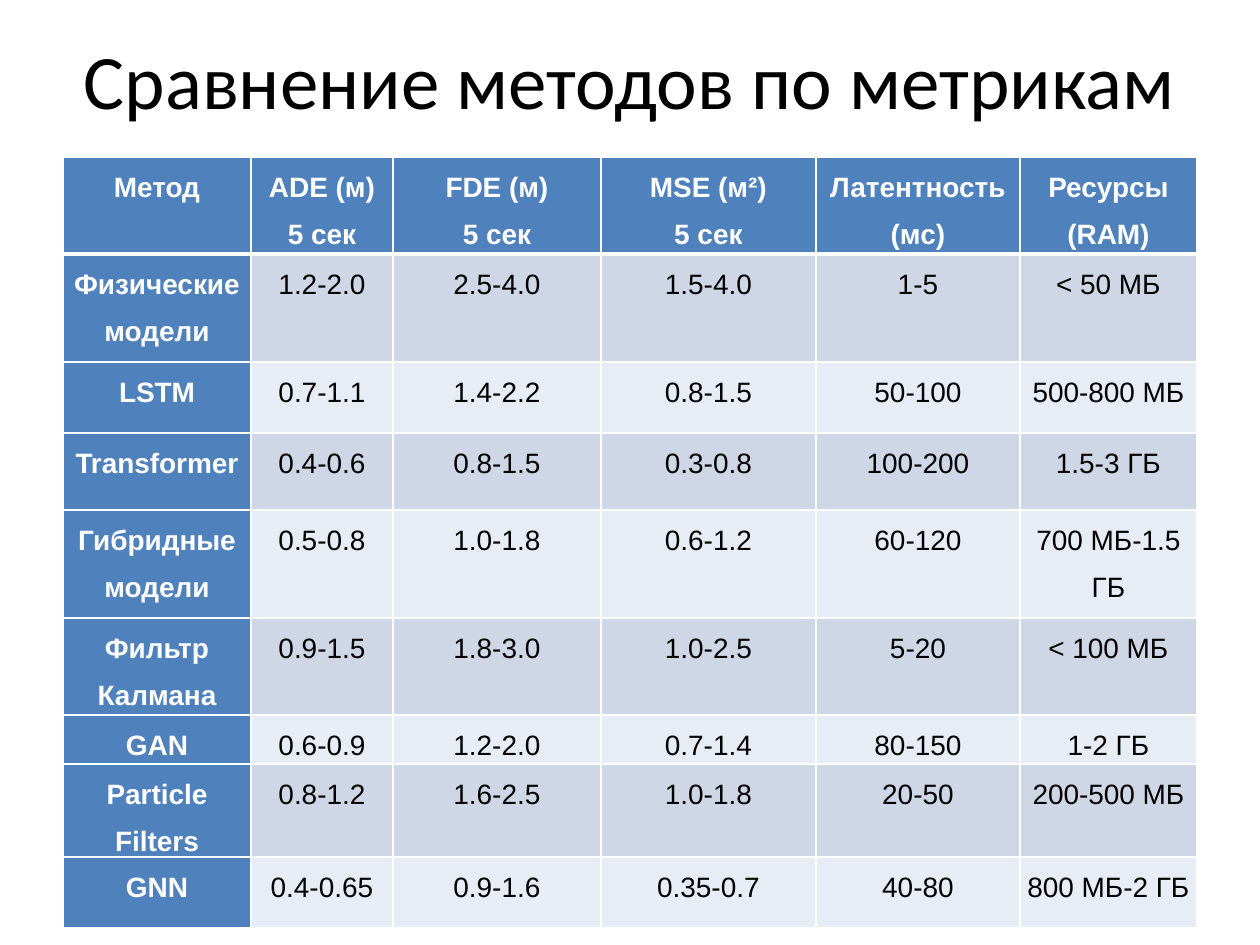
from pptx import Presentation
from pptx.dml.color import RGBColor
from pptx.enum.text import MSO_ANCHOR, PP_ALIGN
from pptx.oxml import parse_xml
from pptx.oxml.ns import nsdecls
from pptx.util import Pt

PX = 914400 / 126
WHITE = RGBColor(0xFF, 0xFF, 0xFF)
BLACK = RGBColor(0x00, 0x00, 0x00)
BLUE = RGBColor(0x4F, 0x81, 0xBD)
BANDS = (RGBColor(0xCF, 0xD7, 0xE7), RGBColor(0xE8, 0xEC, 0xF4))

COLUMN_WIDTHS = (188, 142, 208, 215, 204, 177)
ROW_HEIGHTS = (97, 108, 71, 77, 108, 97, 49, 77, 71)
METRICS = (
    ("Метод", "ADE (м)\n5 сек", "FDE (м)\n5 сек", "MSE (м²)\n5 сек",
     "Латентность (мс)", "Ресурсы (RAM)"),
    ("Физические модели", "1.2-2.0", "2.5-4.0", "1.5-4.0", "1-5", "< 50 МБ"),
    ("LSTM", "0.7-1.1", "1.4-2.2", "0.8-1.5", "50-100", "500-800 МБ"),
    ("Transformer", "0.4-0.6", "0.8-1.5", "0.3-0.8", "100-200", "1.5-3 ГБ"),
    ("Гибридные модели", "0.5-0.8", "1.0-1.8", "0.6-1.2", "60-120", "700 МБ-1.5 ГБ"),
    ("Фильтр Калмана", "0.9-1.5", "1.8-3.0", "1.0-2.5", "5-20", "< 100 МБ"),
    ("GAN", "0.6-0.9", "1.2-2.0", "0.7-1.4", "80-150", "1-2 ГБ"),
    ("Particle Filters", "0.8-1.2", "1.6-2.5", "1.0-1.8", "20-50", "200-500 МБ"),
    ("GNN", "0.4-0.65", "0.9-1.6", "0.35-0.7", "40-80", "800 МБ-2 ГБ"),
)


def px(length):
    """Turn whole pixels into EMU."""
    return round(length * PX)


def write_text(frame, text, size, font, color=BLACK, bold=False, spacing=None):
    """Fill a text frame with one centred, formatted paragraph."""
    para = frame.paragraphs[0]
    para.text = text
    para.alignment = PP_ALIGN.CENTER
    para.line_spacing = spacing
    for span in para.runs:
        span.font.size = Pt(size)
        span.font.name = font
        span.font.bold = bold
        span.font.color.rgb = color


def add_title(page, text):
    """Place the title placeholder across the top of the page."""
    title = page.shapes.title
    title.left, title.top, title.width, title.height = map(px, (63, 0, 1134, 158))
    title.text_frame.vertical_anchor = MSO_ANCHOR.MIDDLE
    write_text(title.text_frame, text, size=44, font="Calibri")


def set_borders(cell, top, bottom):
    """Draw white borders round a cell, with top and bottom widths in points."""
    properties = cell._tc.get_or_add_tcPr()
    for side, width in (("L", 1), ("R", 1), ("T", top), ("B", bottom)):
        properties.append(parse_xml(
            f'<a:ln{side} {nsdecls("a")} w="{Pt(width)}"><a:solidFill>'
            f'<a:srgbClr val="{WHITE}"/></a:solidFill></a:ln{side}>'))


def format_cell(cell, text, row, column):
    """Write and colour a cell by its place in the table."""
    heading = row == 0 or column == 0
    cell.margin_left = cell.margin_right = px(7)
    cell.margin_top = cell.margin_bottom = 0
    set_borders(cell, top=3 if row == 1 else 1, bottom=3 if row == 0 else 1)
    cell.fill.solid()
    cell.fill.fore_color.rgb = BLUE if heading else BANDS[(row - 1) % 2]
    write_text(cell.text_frame, text, size=16, font="Arial", bold=heading,
               color=WHITE if heading else BLACK, spacing=1.5)


def add_metrics_table(page):
    """Add the table that compares the methods."""
    table = page.shapes.add_table(
        len(ROW_HEIGHTS), len(COLUMN_WIDTHS), px(63), px(157),
        px(sum(COLUMN_WIDTHS)), px(sum(ROW_HEIGHTS))).table
    table.first_col = True
    for column, width in zip(table.columns, COLUMN_WIDTHS):
        column.width = px(width)
    for row, height in zip(table.rows, ROW_HEIGHTS):
        row.height = px(height)
    for row, texts in enumerate(METRICS):
        for column, text in enumerate(texts):
            format_cell(table.cell(row, column), text, row, column)


def main():
    """Build and save the deck."""
    deck = Presentation()
    deck.slide_width, deck.slide_height = px(1260), px(945)
    page = deck.slides.add_slide(deck.slide_layouts[5])
    add_title(page, "Сравнение методов по метрикам")
    add_metrics_table(page)
    deck.save("out.pptx")


if __name__ == "__main__":
    main()
